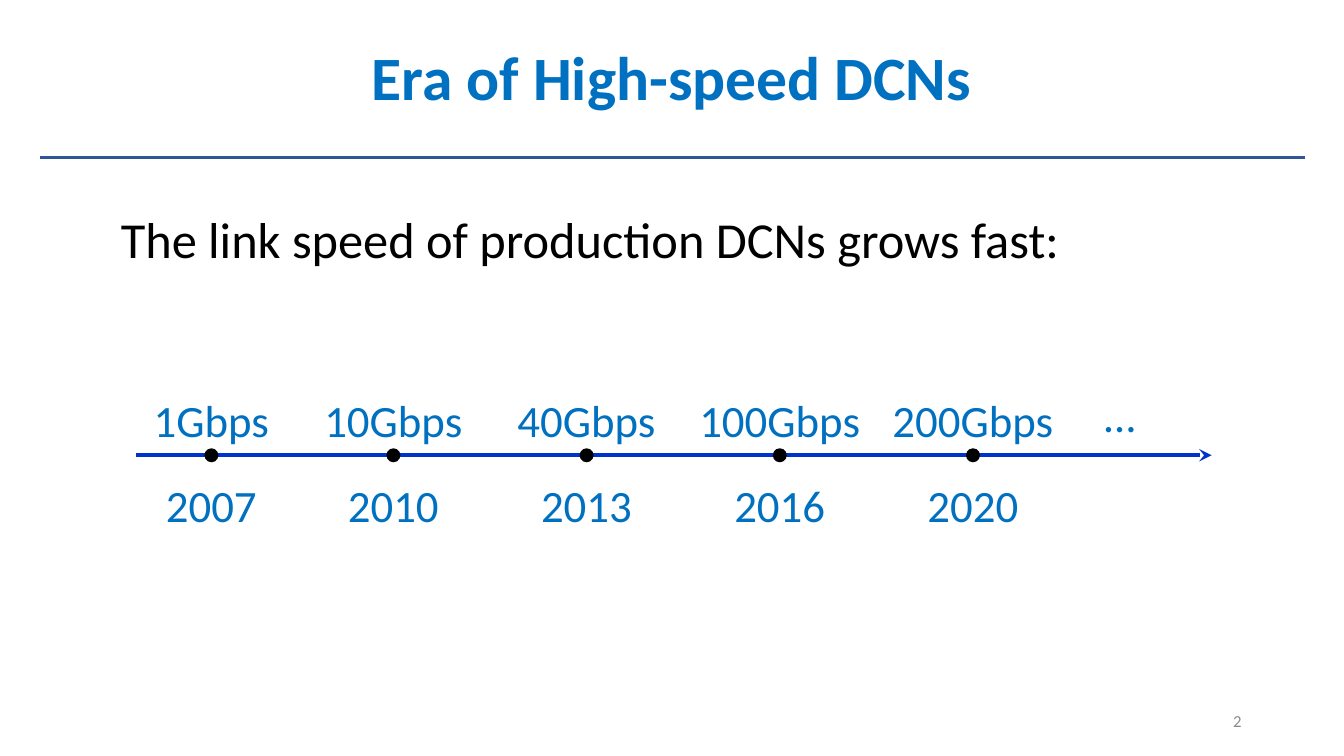
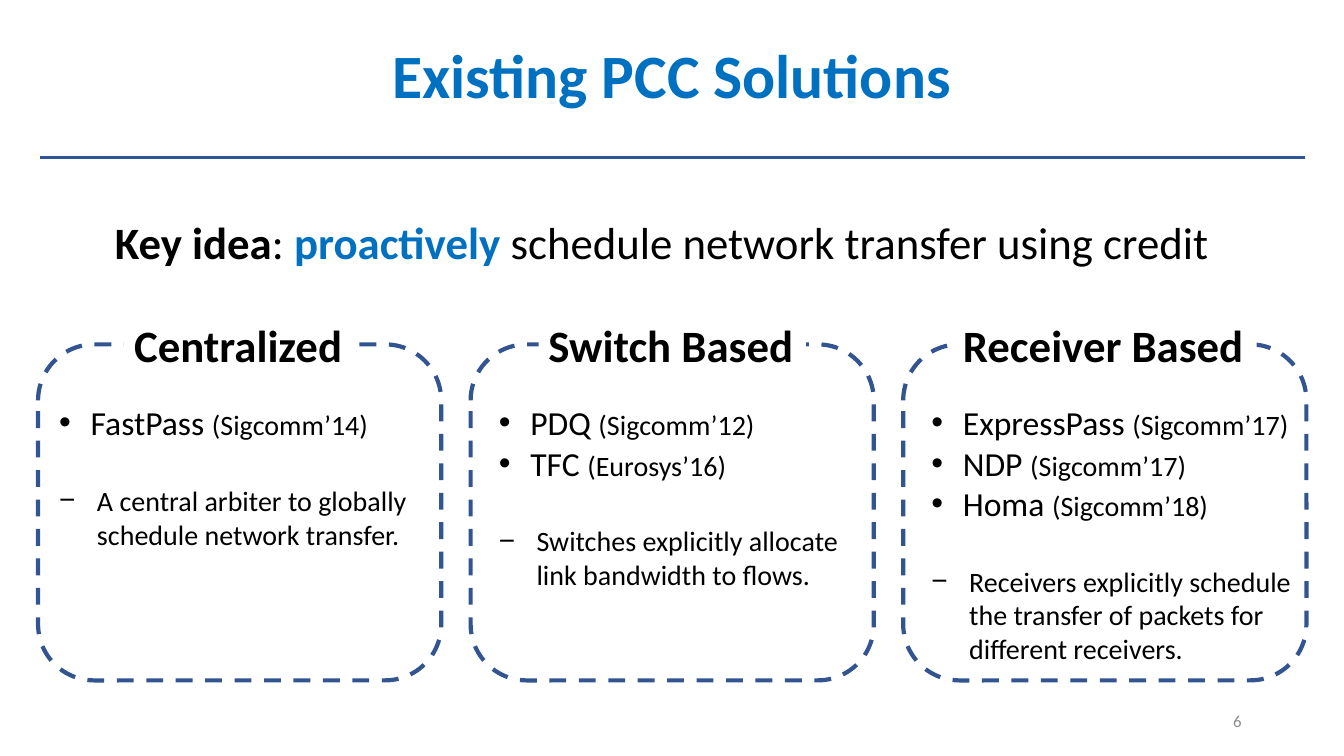
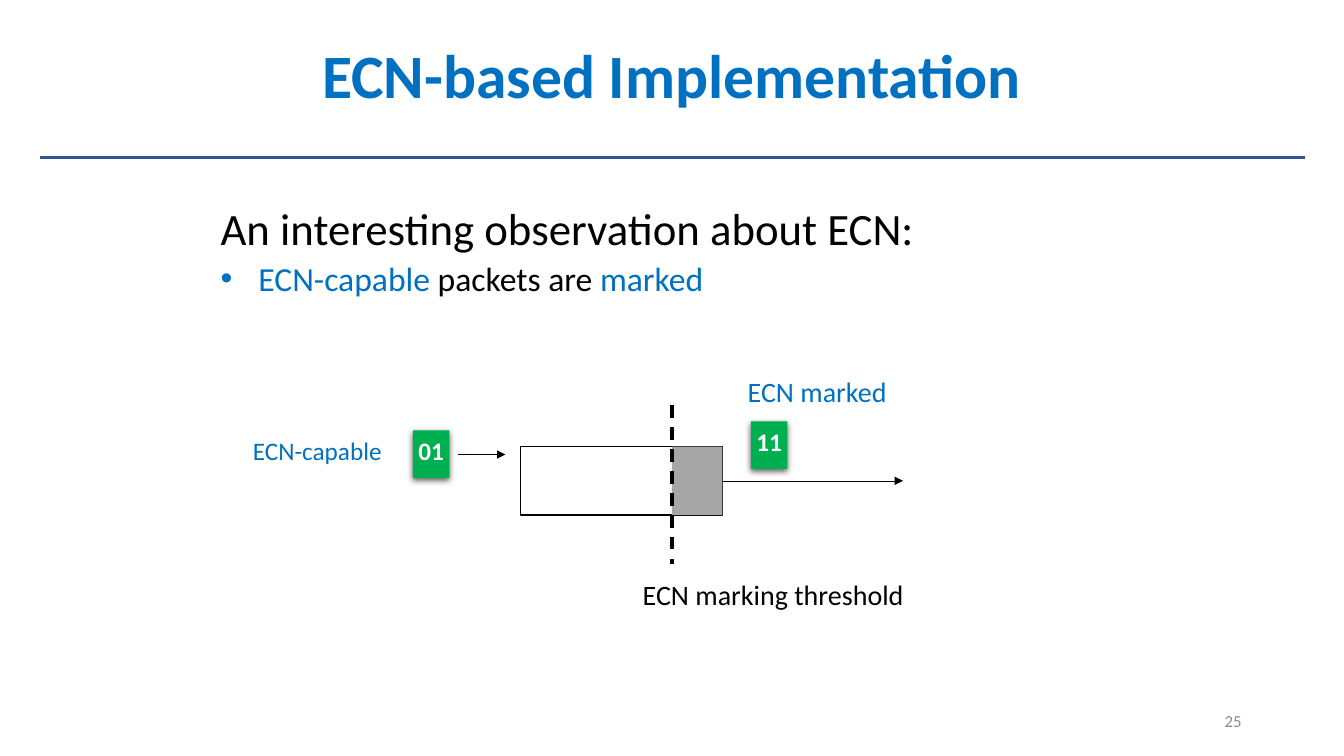
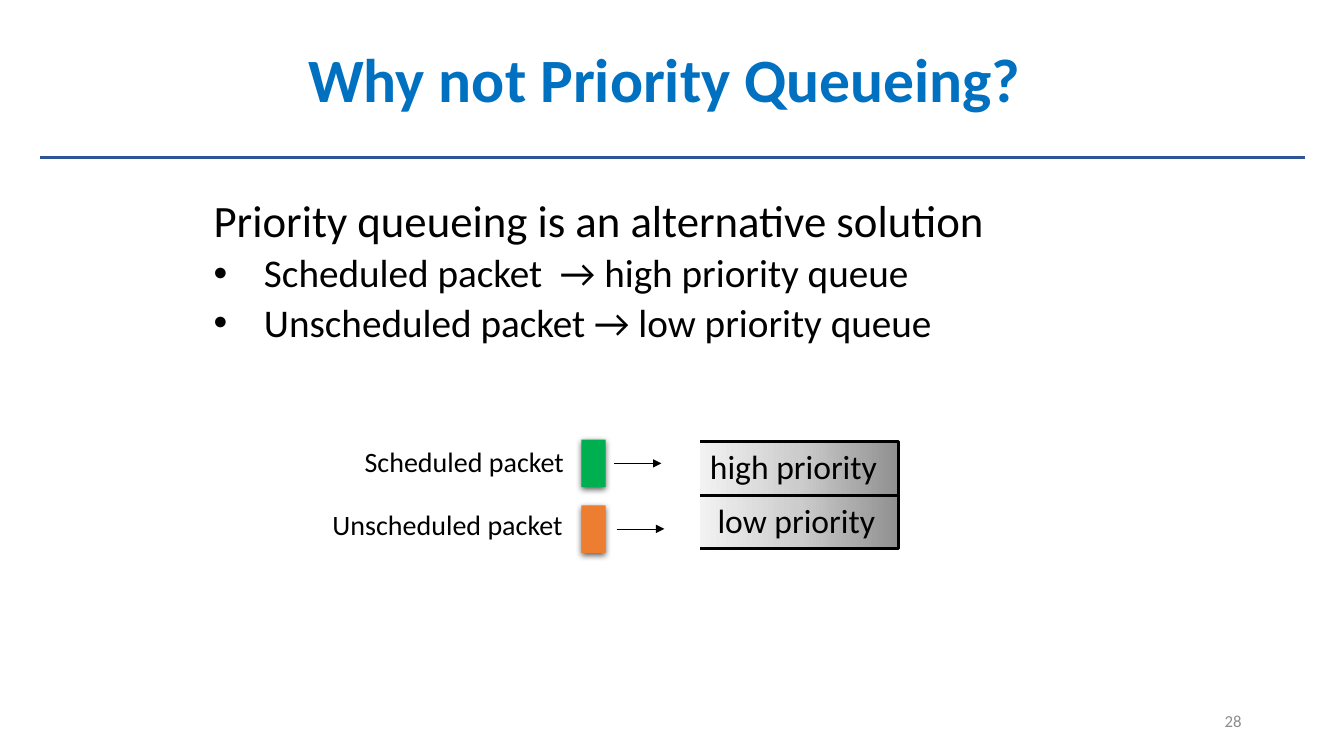
from copy import deepcopy
from dataclasses import dataclass
from typing import Optional

from lxml import etree
from pptx import Presentation
from pptx import util as u
from pptx.dml.color import RGBColor
from pptx.enum import dml, shapes, text
from pptx.oxml import ns

FONT = "Calibri"
BLACK = RGBColor(0x00, 0x00, 0x00)
WHITE = RGBColor(0xFF, 0xFF, 0xFF)
ACCENT = RGBColor(0x00, 0x70, 0xC0)
RULE = RGBColor(0x2F, 0x55, 0x97)
AXIS = RGBColor(0x00, 0x33, 0xCC)
CARD = RGBColor(0x32, 0x54, 0x91)
PAGE = RGBColor(0x8C, 0x8C, 0x8C)
GREEN = RGBColor(0x00, 0xB0, 0x50)
ORANGE = RGBColor(0xED, 0x7D, 0x31)
GREY = RGBColor(0xA6, 0xA6, 0xA6)
QUEUE_STOPS = (
    (0, RGBColor(0x90, 0x90, 0x90)),
    (0.5, RGBColor(0xCC, 0xCC, 0xCC)),
    (1, RGBColor(0xF2, 0xF2, 0xF2)),
)

LEFT, CENTER, RIGHT = text.PP_ALIGN.LEFT, text.PP_ALIGN.CENTER, text.PP_ALIGN.RIGHT
TOP, MIDDLE = text.MSO_ANCHOR.TOP, text.MSO_ANCHOR.MIDDLE
RECTANGLE = shapes.MSO_SHAPE.RECTANGLE
DASH = dml.MSO_LINE.DASH


@dataclass
class Run:
    words: str
    size: float
    color: RGBColor = BLACK
    bold: bool = False


@dataclass
class Para:
    runs: list
    align: int = LEFT
    bullet: str = ""
    indent: float = 0
    before: float = 0
    spacing: Optional[float] = None


def points(*lengths):
    return [u.Pt(length) for length in lengths]


def add_xml(parent, tag, **attributes):
    return etree.SubElement(parent, ns.qn(tag), attributes)


def format_run(run, style):
    font = run.font
    font.name = FONT
    font.size = u.Pt(style.size)
    font.bold = style.bold
    font.color.rgb = style.color


def write(frame, paras, anchor=TOP, wrap=True):
    frame.word_wrap = wrap
    frame.vertical_anchor = anchor
    for index, para in enumerate(paras):
        paragraph = frame.add_paragraph() if index else frame.paragraphs[0]
        paragraph.alignment = para.align
        paragraph.space_before = u.Pt(para.before)
        if para.spacing:
            paragraph.line_spacing = para.spacing
        for style in para.runs:
            run = paragraph.add_run()
            run.text = style.words
            format_run(run, style)
        if para.bullet:
            properties = paragraph._p.get_or_add_pPr()
            properties.set("marL", str(u.Pt(para.indent)))
            properties.set("indent", str(-u.Pt(para.indent)))
            add_xml(properties, "a:buFont", typeface="Arial")
            add_xml(properties, "a:buChar", char=para.bullet)


def add_text(slide, box, paras, anchor=TOP, wrap=True):
    write(slide.shapes.add_textbox(*points(*box)).text_frame, paras, anchor, wrap)


def add_label(slide, box, words, size, color=BLACK, align=LEFT):
    add_text(slide, box, [Para([Run(words, size, color)], align)], wrap=align != LEFT)


def add_block(slide, kind, box, fill=None, line=None, width=1, dash=None):
    block = slide.shapes.add_shape(kind, *points(*box))
    block.shadow.inherit = False
    if fill is None:
        block.fill.background()
    else:
        block.fill.solid()
        block.fill.fore_color.rgb = fill
    if line is None:
        block.line.fill.background()
    else:
        block.line.color.rgb = line
        block.line.width = u.Pt(width)
        block.line.dash_style = dash
    return block


def add_line(slide, start, end, color, width, head=None, dash=None):
    line = slide.shapes.add_connector(
        shapes.MSO_CONNECTOR.STRAIGHT, *points(*start, *end))
    line.line.color.rgb = color
    line.line.width = u.Pt(width)
    if dash:
        line.line.dash_style = dash
    if head:
        add_xml(line.line._get_or_add_ln(), "a:tailEnd", type=head)
    add_xml(line._element.spPr, "a:effectLst")
    return line


def add_arrow(slide, left, right, y):
    return add_line(slide, (left, y), (right, y), BLACK, 0.5, head="triangle")


def add_packet(slide, left, top, width, fill, code=""):
    packet = add_block(slide, RECTANGLE, (left, top, width, 34), fill)
    effects = packet._element.spPr.find(ns.qn("a:effectLst"))
    shadow = add_xml(effects, "a:outerShdw", blurRad=str(u.Pt(4.5)),
                     dist=str(u.Pt(1.5)), dir="5400000", rotWithShape="0")
    shade = add_xml(shadow, "a:srgbClr", val=str(BLACK))
    add_xml(shade, "a:alpha", val="63000")
    if code:
        frame = packet.text_frame
        frame.margin_left = frame.margin_right = 0
        write(frame, [Para([Run(code, 18, WHITE, True)], CENTER)], wrap=False)


def add_queue(slide, left, top, width, height, words):
    right, bottom = left + width, top + height
    builder = slide.shapes.build_freeform(*points(left, top))
    builder.add_line_segments(
        [points(*corner) for corner in ((right, top), (right, bottom), (left, bottom))],
        close=False)
    queue = builder.convert_to_shape()
    queue.shadow.inherit = False
    queue.fill.gradient()
    queue.fill.gradient_angle = 180
    stops = queue._element.spPr.find(".//" + ns.qn("a:gsLst"))
    stops.append(deepcopy(stops[0]))
    for stop, (position, color) in zip(queue.fill.gradient_stops, QUEUE_STOPS):
        stop.position = position
        stop.color.rgb = color
    queue.line.color.rgb = BLACK
    queue.line.width = u.Pt(2.25)
    write(queue.text_frame, [Para([Run(words, 24)])], wrap=False)


def new_slide(deck, title, page, box=(0, 0, 960, 111.6), spacing=0.9):
    slide = deck.slides.add_slide(deck.slide_layouts[5])
    add_line(slide, (932.4, 112.5), (28.8, 112.5), RULE, 1.5)
    heading = slide.shapes.title
    heading.left, heading.top, heading.width, heading.height = points(*box)
    write(heading.text_frame,
          [Para([Run(title, 44, ACCENT, True)], CENTER, spacing=spacing)], MIDDLE)
    add_text(slide, (678, 500.4, 216, 28.8),
             [Para([Run(page, 12, PAGE)], RIGHT)], MIDDLE)
    return slide


def link_speed_slide(deck):
    slide = new_slide(deck, "Era of High-speed DCNs", "2", (48, 0, 864, 114.5))
    add_text(slide, (79.2, 150, 800, 66),
             [Para([Run("The link speed of production DCNs grows fast:", 36)],
                   spacing=0.9)])
    axis_y, dot, label_width = 325.2, 10, 130
    add_line(slide, (97, axis_y), (865.5, axis_y), AXIS, 3, head="stealth")
    milestones = (("1Gbps", "2007"), ("10Gbps", "2010"), ("40Gbps", "2013"),
                  ("100Gbps", "2016"), ("200Gbps", "2020"))
    centers = (151, *range(281, 697, 138))
    for center, (speed, year) in zip(centers, milestones):
        add_block(slide, shapes.MSO_SHAPE.OVAL,
                  (center - dot / 2, axis_y - dot / 2, dot, dot), BLACK)
        for words, top in ((speed, 277.2), (year, 337.7)):
            add_label(slide, (center - label_width / 2, top, label_width, 46),
                      words, 32, ACCENT, CENTER)
    add_label(slide, (743.5, 273.6, 113, 46), "…", 32, ACCENT, CENTER)


def add_solution_card(slide, left, heading, heading_width, inset, systems, summary):
    width = 288
    add_block(slide, shapes.MSO_SHAPE.ROUNDED_RECTANGLE, (left, 246, width, 240),
              line=CARD, width=3, dash=DASH)
    paras = [Para([Run(name + " ", 24), Run(venue, 20)], bullet="•", indent=22.5)
             for name, venue in systems]
    paras.append(Para([Run(summary, 20)], bullet="−", indent=27, before=29.3))
    add_text(slide, (left + inset, 283.7, 274, 165), paras)
    plate = add_block(slide, RECTANGLE,
                      (left + (width - heading_width) / 2, 223.2, heading_width, 46),
                      WHITE)
    write(plate.text_frame, [Para([Run(heading, 32, bold=True)])], wrap=False)


def solutions_slide(deck):
    slide = new_slide(deck, "Existing PCC Solutions", "6")
    add_text(slide, (75, 150, 810, 46), [Para([
        Run("Key idea", 32, bold=True),
        Run(": ", 32),
        Run("proactively", 32, ACCENT, True),
        Run(" schedule network transfer using credit", 32),
    ])])
    cards = (
        ("Centralized", 165, 8, [("FastPass", "(Sigcomm’14)")],
         "A central arbiter to globally schedule network transfer."),
        ("Switch Based", 191, 13,
         [("PDQ", "(Sigcomm’12)"), ("TFC", "(Eurosys’16)")],
         "Switches explicitly allocate link bandwidth to flows."),
        ("Receiver Based", 217, 13,
         [("ExpressPass", "(Sigcomm’17)"), ("NDP", "(Sigcomm’17)"),
          ("Homa", "(Sigcomm’18)")],
         "Receivers explicitly schedule the transfer of packets for different receivers."),
    )
    for index, card in enumerate(cards):
        add_solution_card(slide, 27.2 + 309 * index, *card)


def ecn_slide(deck):
    slide = new_slide(deck, "ECN-based Implementation", "25")
    add_text(slide, (150.5, 144, 659, 90), [
        Para([Run("An interesting observation about ECN:", 32)], spacing=0.9),
        Para([Run("ECN-capable ", 24, ACCENT), Run("packets are ", 24),
              Run("marked", 24, ACCENT)],
             bullet="•", indent=27, before=5, spacing=0.9),
    ])
    queue_top, queue_height, queue_right, threshold = 319, 49, 516, 480
    queue = add_block(slide, RECTANGLE,
                      (372, queue_top, queue_right - 372, queue_height), line=BLACK)
    add_block(slide, RECTANGLE,
              (threshold, queue_top, queue_right - threshold, queue_height), GREY)
    add_line(slide, (threshold, 289.5), (threshold, 403), BLACK, 2.25, dash=DASH)
    add_arrow(slide, 327, 361, 324.7)
    departure = add_arrow(slide, queue_right, 645, queue_top + queue_height / 2)
    departure.begin_connect(queue, 3)
    add_packet(slide, 295, 307.4, 26, GREEN, "01")
    add_packet(slide, 536.4, 301, 26, GREEN, "11")
    add_label(slide, (173.5, 307.4, 107, 29), "ECN-capable", 18, ACCENT)
    add_label(slide, (527, 264.2, 114.5, 32), "ECN marked", 20, ACCENT)
    add_label(slide, (452, 409, 202, 32), "ECN marking threshold", 20)


def priority_slide(deck):
    slide = new_slide(deck, "Why not Priority Queueing? ", "28",
                      (156, 0, 648, 111.6), spacing=None)
    mappings = ("Scheduled packet  → high priority queue",
                "Unscheduled packet → low priority queue")
    add_text(slide, (145.5, 138.2, 670, 120), [
        Para([Run("Priority queueing is an alternative solution", 32)], spacing=0.9),
        *(Para([Run(mapping, 28)], bullet="•", indent=36, before=5, spacing=0.9)
          for mapping in mappings),
    ])
    queue_height = 38.4
    for row, words in ((1, " low priority"), (0, "high priority")):
        add_queue(slide, 500, 315.2 + row * queue_height, 142, queue_height, words)
    flows = (("Scheduled packet", 253.4, 158.4, 314, GREEN, 438.5),
             ("Unscheduled packet", 230.4, 181, 361, ORANGE, 440.5))
    for row, (words, left, width, packet_top, fill, arrow_left) in enumerate(flows):
        add_packet(slide, 415.4, packet_top, 17.3, fill)
        add_arrow(slide, arrow_left, arrow_left + 34, 331 + 46.8 * row)
        add_label(slide, (left, 314 + 44.6 * row, width, 32), words, 20)


def main():
    deck = Presentation()
    deck.slide_width, deck.slide_height = points(960, 540)
    link_speed_slide(deck)
    solutions_slide(deck)
    ecn_slide(deck)
    priority_slide(deck)
    deck.save("out.pptx")


if __name__ == "__main__":
    main()
